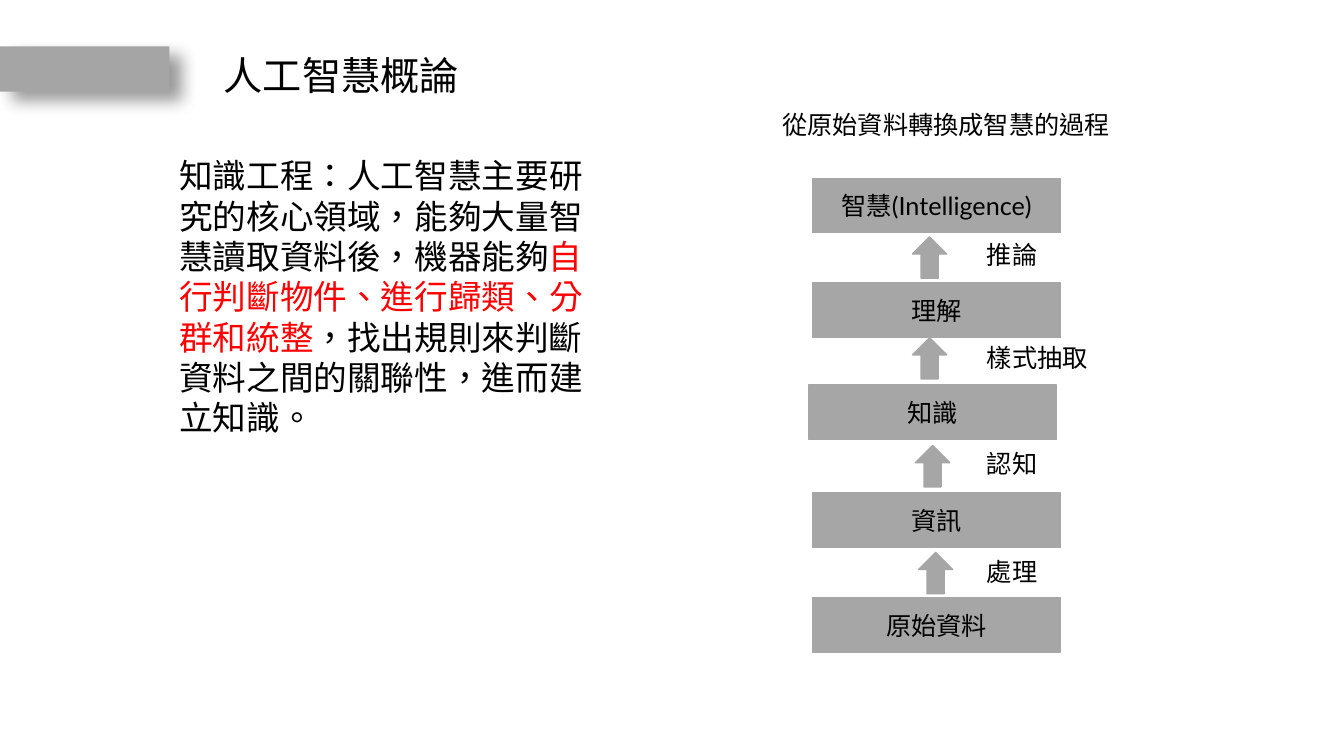
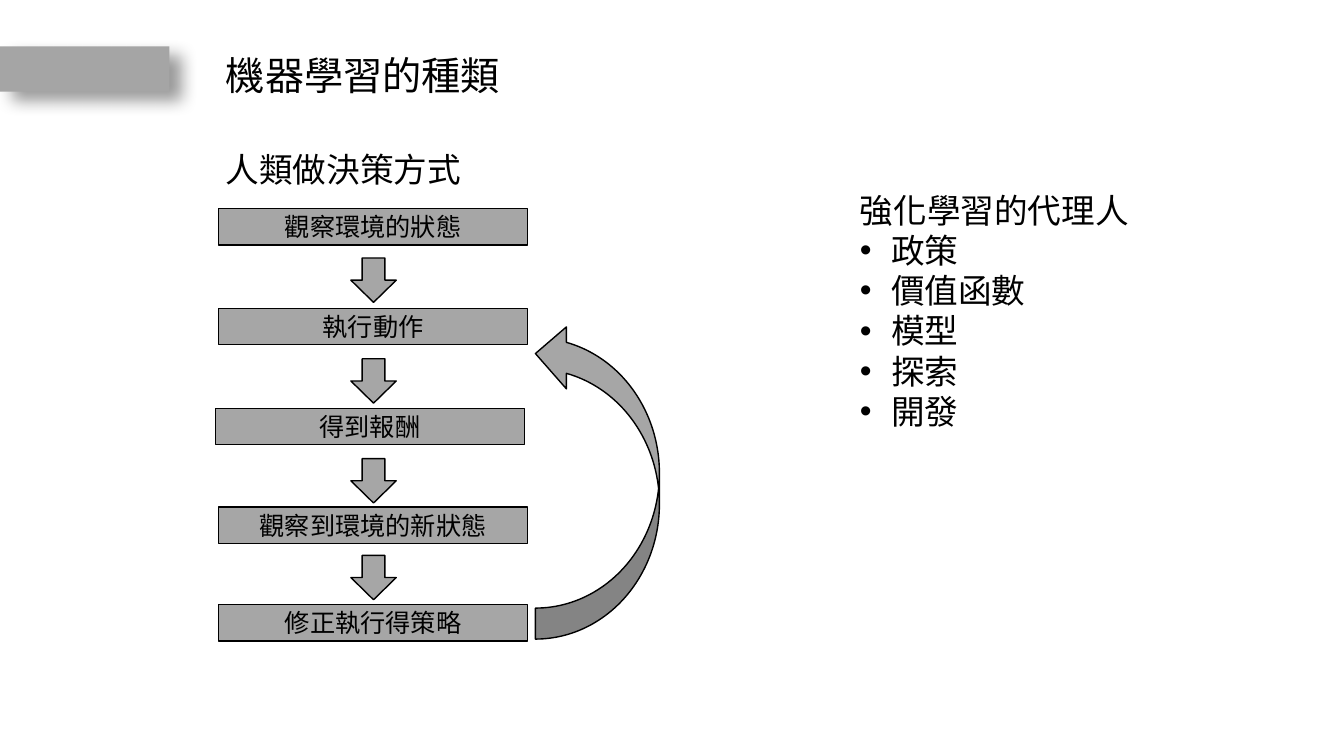
from pptx import Presentation
from pptx.dml.color import RGBColor
from pptx.enum.shapes import MSO_SHAPE
from pptx.enum.text import MSO_ANCHOR, PP_ALIGN
from pptx.oxml import parse_xml
from pptx.oxml.ns import nsdecls, qn
from pptx.util import Inches, Pt
from lxml.etree import SubElement

SANS, LATO = "Noto Sans CJK SC", "Lato"
BLACK, RED, GRAY, BAND = "000000", "FF0000", "A6A6A6", "A5A5A5"
SHADOW = f"""<a:effectLst {nsdecls("a")}>
<a:outerShdw blurRad="{Pt(12)}" dist="{Pt(11)}" dir="{35 * 60000}" algn="tl" rotWithShape="0">
<a:srgbClr val="{BLACK}"><a:alpha val="40000"/></a:srgbClr>
</a:outerShdw></a:effectLst>"""


def color(code):
    return RGBColor.from_string(code)


def place(left, top, width, height):
    return [Inches(n) for n in (left, top, width, height)]


class Deck:
    def __init__(self):
        self.file = Presentation()
        self.file.slide_width = Inches(13.33)
        self.file.slide_height = Inches(7.5)
        self.slide = None

    def start(self, title, left):
        self.slide = self.file.slides.add_slide(self.file.slide_layouts[5])
        band = self.shape(MSO_SHAPE.RECTANGLE, (0, 0.46, 1.68, 0.45), fill=BAND)
        band._element.spPr.remove(band._element.spPr.find(qn("a:effectLst")))
        band._element.spPr.append(parse_xml(SHADOW))
        head = self.slide.shapes.title
        head.left, head.top, head.width, head.height = place(left, 0.46, 6, 0.57)
        frame = head.text_frame
        frame.word_wrap = True
        frame.vertical_anchor = MSO_ANCHOR.TOP
        par = frame.paragraphs[0]
        par.alignment = PP_ALIGN.LEFT
        self.run(par, title, 28)

    def run(self, par, text, size, font=SANS, ink=BLACK):
        run = par.add_run()
        run.text = text
        run.font.size = Pt(size)
        run.font.color.rgb = color(ink)
        run.font.name = font
        props = run._r.get_or_add_rPr()
        props.set("lang", "zh-TW")
        SubElement(props, qn("a:ea")).set("typeface", SANS)

    def text(self, area, runs, size, font=SANS, wrap=False):
        box = self.slide.shapes.add_textbox(*place(*area))
        box.text_frame.word_wrap = wrap
        for words, ink in runs:
            self.run(box.text_frame.paragraphs[0], words, size, font, ink)
        return box.text_frame

    def bullet(self, frame, words, size):
        par = frame.add_paragraph()
        props = par._p.get_or_add_pPr()
        props.set("marL", str(Inches(0.31)))
        props.set("indent", str(Inches(-0.31)))
        SubElement(props, qn("a:buFont")).set("typeface", "Arial")
        SubElement(props, qn("a:buChar")).set("char", "•")
        self.run(par, words, size)

    def shape(self, kind, area, fill=GRAY, line=None):
        shape = self.slide.shapes.add_shape(kind, *place(*area))
        shape.shadow.inherit = False
        shape.fill.solid()
        shape.fill.fore_color.rgb = color(fill)
        if line:
            shape.line.color.rgb = color(line)
            shape.line.width = Pt(1)
        else:
            shape.line.fill.background()
        return shape

    def step(self, area, words, line, font=SANS):
        frame = self.shape(MSO_SHAPE.RECTANGLE, area, line=line).text_frame
        frame.word_wrap = True
        frame.vertical_anchor = MSO_ANCHOR.MIDDLE
        par = frame.paragraphs[0]
        par.alignment = PP_ALIGN.CENTER
        self.run(par, words, 18, font)


def wisdom(deck):
    deck.start("人工智慧概論", 2.12)
    deck.text((1.68, 1.49, 4.49, 2.93), [
        ("知識工程：人工智慧主要研究的核心領域，能夠大量智慧讀取資料後，機器能夠", BLACK),
        ("自行判斷物件、進行歸類、分群和統整", RED),
        ("，找出規則來判斷資料之間的關聯性，進而建立知識。", BLACK),
    ], 24, wrap=True)
    deck.text((7.66, 1.04, 3.56, 0.4), [("從原始資料轉換成智慧的過程", BLACK)], 18, LATO, True)
    for left, top, words in (
        (8.06, 1.77, "智慧(Intelligence)"),
        (8.06, 2.81, "理解"),
        (8.02, 3.82, "知識"),
        (8.06, 4.89, "資訊"),
        (8.06, 5.93, "原始資料"),
    ):
        deck.step((left, top, 2.46, 0.54), words, GRAY, LATO)
    for left, top, drop, words in (
        (9.05, 2.35, 2.33, "推論"),
        (9.05, 3.35, 3.35, "樣式抽取"),
        (9.08, 4.42, 4.4, "認知"),
        (9.11, 5.48, 5.47, "處理"),
    ):
        deck.shape(MSO_SHAPE.UP_ARROW, (left, top, 0.34, 0.41), line=GRAY)
        deck.text((9.69, drop, 0.2 + 0.25 * len(words), 0.4), [(words, BLACK)], 18, LATO)


def learning(deck):
    deck.start("機器學習的種類", 2.14)
    deck.text((2.14, 1.43, 2.56, 0.5), [("人類做決策方式", BLACK)], 24)
    for left, top, words in (
        (2.17, 2.07, "觀察環境的狀態"),
        (2.17, 3.06, "執行動作"),
        (2.14, 4.05, "得到報酬"),
        (2.17, 5.03, "觀察到環境的新狀態"),
        (2.17, 6, "修正執行得策略"),
    ):
        deck.step((left, top, 3.06, 0.36), words, BLACK)
    for top in (2.56, 3.56, 4.55, 5.51):
        deck.shape(MSO_SHAPE.DOWN_ARROW, (3.48, top, 0.45, 0.44), line=BLACK)
    loop = deck.shape(MSO_SHAPE.CURVED_RIGHT_ARROW, (5.31, 3.2, 1.23, 3.14), line=BLACK)
    loop.rotation = 180
    agent = deck.text((8.43, 1.83, 2.89, 2.52), [("強化學習的代理人", BLACK)], 24)
    for words in ("政策", "價值函數", "模型", "探索", "開發"):
        deck.bullet(agent, words, 24)


def main():
    deck = Deck()
    wisdom(deck)
    learning(deck)
    deck.file.save("out.pptx")


if __name__ == "__main__":
    main()
